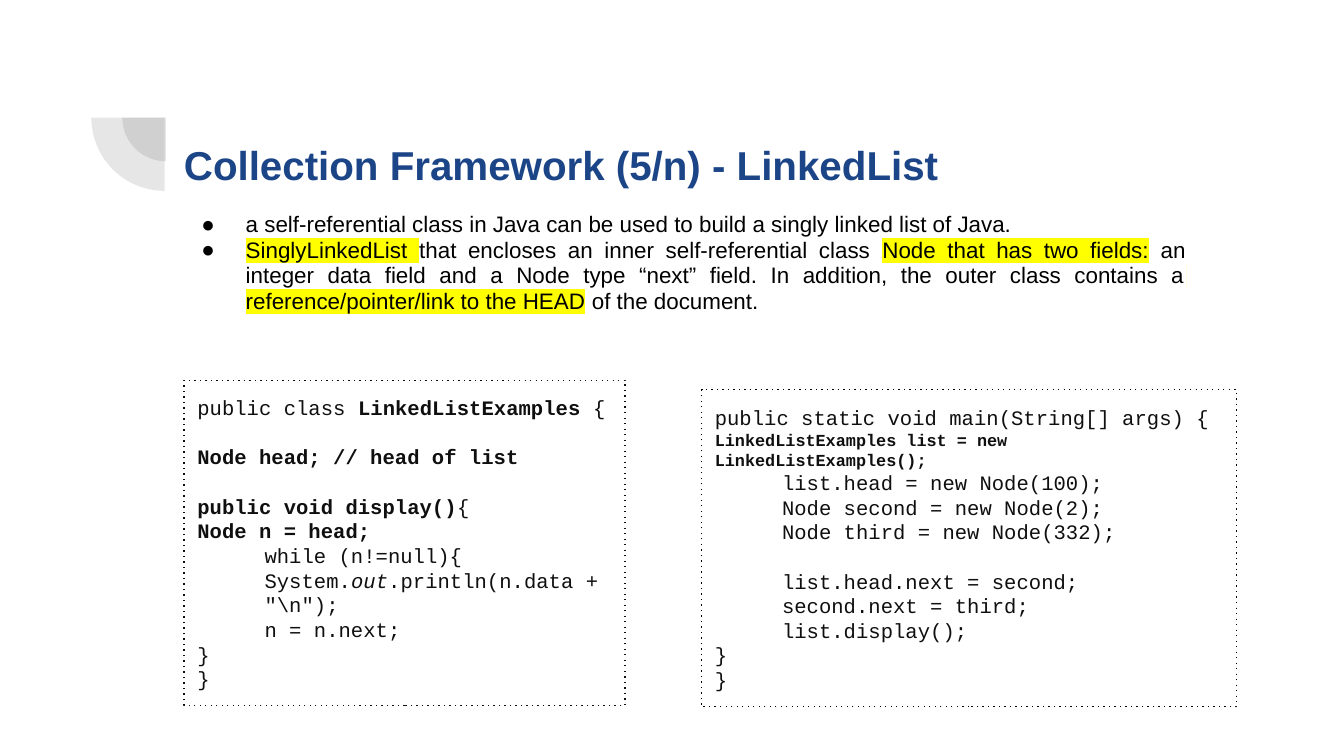
"""Builds a slide on linked lists in the Java Collection Framework."""
from dataclasses import dataclass

from lxml.etree import SubElement
from pptx import Presentation
from pptx.dml.color import RGBColor
from pptx.enum.shapes import MSO_SHAPE as Preset
from pptx.enum.text import MSO_ANCHOR as Anchor, PP_ALIGN as Align
from pptx.oxml import parse_xml
from pptx.oxml.ns import nsdecls, qn
from pptx.util import Inches, Pt


@dataclass(frozen=True)
class Theme:
    title_color: str = "1C4587"
    body_color: str = "000000"
    code_color: str = "0F0F0F"
    ornament_color: str = "424242"
    highlight: str = "FFFF00"
    body_font: str = "Arial"
    code_font: str = "Courier New"
    title_size: float = 21.6
    body_size: float = 12
    code_size: float = 11
    small_code_size: float = 9
    ornament_opacity: int = 13


THEME = Theme()


@dataclass(frozen=True)
class Box:
    left: float
    top: float
    width: float
    height: float

    def lengths(self) -> tuple:
        return tuple(Inches(n) for n in (self.left, self.top, self.width, self.height))


@dataclass(frozen=True)
class Span:
    text: str
    bold: bool = False
    italic: bool = False
    marked: bool = False


@dataclass(frozen=True)
class Line:
    spans: tuple[Span, ...]
    indent: float = 0
    first_indent: float = 0
    size: float = THEME.code_size
    gap_before: bool = False


@dataclass(frozen=True)
class CodePanel:
    box: Box
    border: str
    lines: tuple[Line, ...]


def plain(text: str, **options) -> Line:
    return Line((Span(text),), **options)


def strong(text: str, **options) -> Line:
    return Line((Span(text, bold=True),), **options)


CLOSING = (plain("}"), plain("}"))

BULLETS = (
    (Span("a self-referential class in Java can be used to build a singly linked list of Java."),),
    (
        Span("SinglyLinkedList ", marked=True),
        Span("that encloses an inner self-referential class "),
        Span("Node that has two fields:", marked=True),
        Span(" an integer data field and a Node type “next” field. "
             "In addition, the outer class contains a"),
        Span(" reference/pointer/link to the HEAD", marked=True),
        Span(" of the document."),
    ),
)

PANELS = (
    CodePanel(Box(1.37, 2.83, 3.28, 2.42), THEME.code_color, (
        Line((Span("public class "), Span("LinkedListExamples ", bold=True), Span("{"))),
        strong("Node head; // head of list", gap_before=True),
        Line((Span("public void display()", bold=True), Span("{")), gap_before=True),
        strong("Node n = head;"),
        plain("while (n!=null){", indent=0.5),
        Line((Span("System."), Span("out", italic=True),
              Span(r'.println(n.data + "\n");')), indent=0.5),
        plain("n = n.next;", indent=0.5),
        *CLOSING,
    )),
    CodePanel(Box(5.22, 2.9, 3.98, 2.36), THEME.body_color, (
        plain("public static void main(String[] args) {"),
        strong("LinkedListExamples list = new LinkedListExamples();", size=THEME.small_code_size),
        plain("list.head = new Node(100);", first_indent=0.5),
        plain("Node second = new Node(2);", indent=0.5),
        plain("Node third = new Node(332);", indent=0.5),
        plain("list.head.next = second;", indent=0.5, gap_before=True),
        plain("second.next = third;", indent=0.5),
        plain("list.display();", indent=0.5),
        *CLOSING,
    )),
)


def set_frame(frame, anchor: Anchor) -> None:
    frame.word_wrap = True
    frame.vertical_anchor = anchor
    frame.margin_left = frame.margin_right = Inches(0.1)
    frame.margin_top = frame.margin_bottom = Inches(0.1)


def paragraph_at(frame, index: int):
    return frame.add_paragraph() if index else frame.paragraphs[0]


def set_indent(paragraph, left: float, first: float) -> None:
    properties = paragraph._p.get_or_add_pPr()
    properties.set("marL", str(Inches(left)))
    properties.set("indent", str(Inches(first)))


def add_span(paragraph, span: Span, font: str, size: float, color: str) -> None:
    run = paragraph.add_run()
    run.text = span.text
    run.font.size = Pt(size)
    run.font.bold = span.bold
    run.font.italic = span.italic
    run.font.color.rgb = RGBColor.from_string(color)
    run.font.name = font
    if span.marked:
        run.font._element.find(qn("a:latin")).addprevious(parse_xml(
            f'<a:highlight {nsdecls("a")}><a:srgbClr val="{THEME.highlight}"/></a:highlight>'))


def add_ornament(slide, box: Box) -> None:
    shape = slide.shapes.add_shape(Preset.PIE, *box.lengths())
    shape.shadow.inherit = False
    shape.rotation = 270
    shape.adjustments[0], shape.adjustments[1] = 108, 162
    shape.line.fill.background()
    shape.fill.solid()
    shape.fill.fore_color.rgb = RGBColor.from_string(THEME.ornament_color)
    color = shape._element.spPr.find(qn("a:solidFill"))[0]
    SubElement(color, qn("a:alpha")).set("val", str(THEME.ornament_opacity * 1000))


def add_title(slide, box: Box, text: str) -> None:
    frame = slide.shapes.add_textbox(*box.lengths()).text_frame
    set_frame(frame, Anchor.TOP)
    paragraph = frame.paragraphs[0]
    paragraph.line_spacing = 1.15
    add_span(paragraph, Span(text, bold=True), THEME.body_font, THEME.title_size, THEME.title_color)


def add_bullets(slide, box: Box, bullets: tuple) -> None:
    frame = slide.shapes.add_textbox(*box.lengths()).text_frame
    set_frame(frame, Anchor.TOP)
    for index, spans in enumerate(bullets):
        paragraph = paragraph_at(frame, index)
        paragraph.alignment = Align.JUSTIFY
        paragraph.line_spacing = 0.95
        set_indent(paragraph, 0.5, -0.33)
        properties = paragraph._p.get_or_add_pPr()
        bullet_color = SubElement(properties, qn("a:buClr"))
        SubElement(bullet_color, qn("a:srgbClr")).set("val", THEME.body_color)
        SubElement(properties, qn("a:buFont")).set("typeface", THEME.body_font)
        SubElement(properties, qn("a:buChar")).set("char", "●")
        for span in spans:
            add_span(paragraph, span, THEME.body_font, THEME.body_size, THEME.body_color)


def add_code(slide, panel: CodePanel) -> None:
    shape = slide.shapes.add_shape(Preset.RECTANGLE, *panel.box.lengths())
    shape.shadow.inherit = False
    shape.fill.background()
    shape.line.color.rgb = RGBColor.from_string(panel.border)
    shape.line.width = Pt(0.75)
    outline = shape._element.spPr.find(qn("a:ln"))
    SubElement(outline, qn("a:prstDash")).set("val", "dot")
    set_frame(shape.text_frame, Anchor.MIDDLE)
    for index, line in enumerate(panel.lines):
        paragraph = paragraph_at(shape.text_frame, index)
        paragraph.alignment = Align.LEFT
        paragraph.line_spacing = 1.0
        paragraph.space_before = Pt(13.2 if line.gap_before else 0)
        set_indent(paragraph, line.indent, line.first_indent)
        for span in line.spans:
            add_span(paragraph, span, THEME.code_font, line.size, THEME.code_color)


def main() -> None:
    presentation = Presentation()
    presentation.slide_width = Inches(10)
    presentation.slide_height = Inches(10 * 9 / 16)
    slide = presentation.slides.add_slide(presentation.slide_layouts[6])
    for box in (Box(0.91, 0.55, 0.65, 0.65), Box(0.68, 0.33, 1.09, 1.09)):
        add_ornament(slide, box)
    add_title(slide, Box(1.27, 0.89, 7.85, 0.59), "Collection Framework (5/n) - LinkedList")
    add_bullets(slide, Box(1.23, 1.48, 7.69, 1.07), BULLETS)
    for panel in PANELS:
        add_code(slide, panel)
    presentation.save("out.pptx")


if __name__ == "__main__":
    main()
